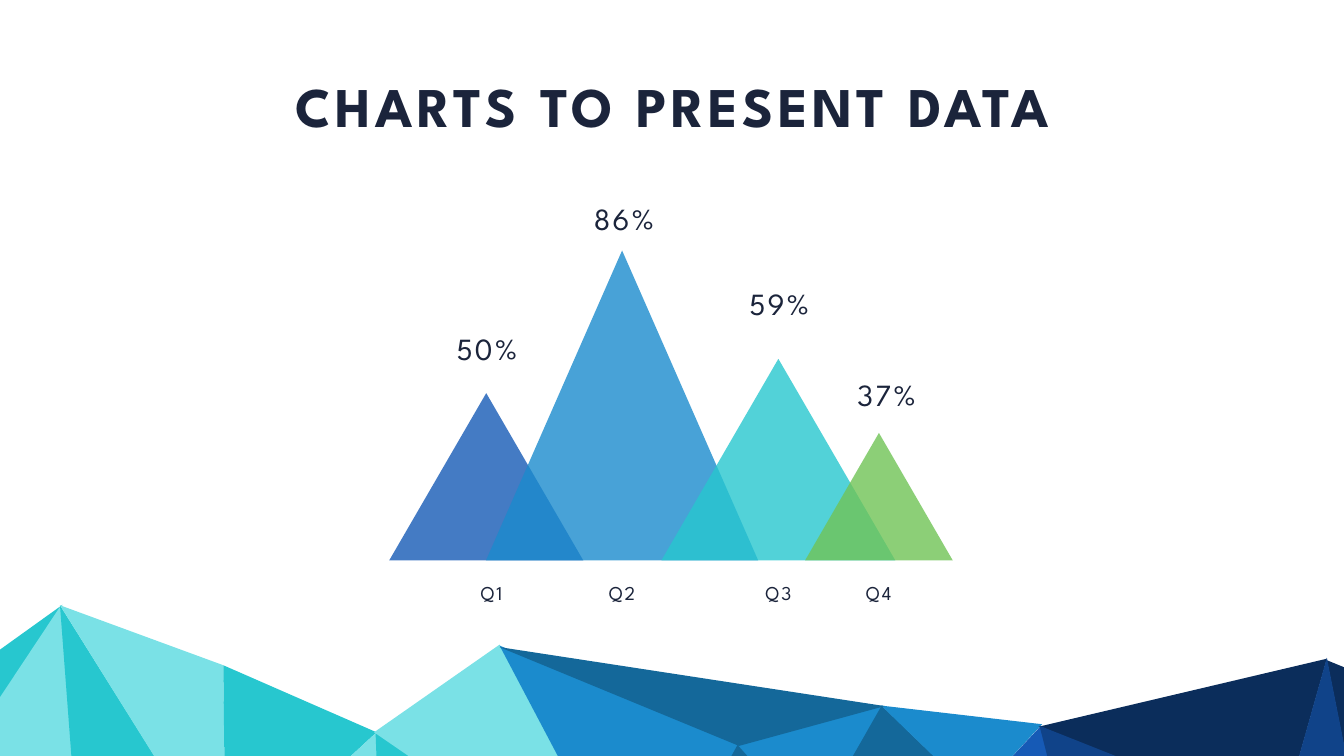
"""Build a slide showing four quarterly peaks above a faceted mountain range."""
from lxml.etree import SubElement
from pptx import Presentation
from pptx.dml.color import RGBColor
from pptx.enum.shapes import MSO_SHAPE
from pptx.enum.text import MSO_ANCHOR, MSO_AUTO_SIZE, PP_ALIGN
from pptx.oxml.ns import qn
from pptx.util import Inches, Pt

COLORS = {
    "ink": "1B243B", "turquoise": "27C7CF", "aqua": "7AE1E6",
    "blue": "1B8BCD", "steel": "14689A", "royal": "165AB6",
    "navy": "0B2D5B", "cobalt": "104389", "green": "70C456",
}
FONT = "League Spartan"
BASELINE = 11.12

FACETS = [
    ("turquoise", [(1.24, 12), (0, 12.89), (0, 13.88)]),
    ("aqua", [(1.56, 16.64), (1.21, 12.01), (-0.03, 13.88), (-0.03, 16.64)]),
    ("turquoise", [(4.09, 16.64), (1.19, 12.01), (1.54, 16.64)]),
    ("aqua", [(4.47, 16.64), (4.43, 13.2), (1.19, 12.01), (4.08, 16.64)]),
    ("turquoise", [(5.18, 16.64), (7.47, 14.53), (4.43, 13.2), (4.47, 16.64)]),
    ("aqua", [(7.55, 16.64), (7.47, 14.53), (5.18, 16.64)]),
    ("turquoise", [(10.52, 16.64), (7.45, 14.53), (7.53, 16.64)]),
    ("aqua", [(11.94, 16.64), (9.91, 12.79), (7.42, 14.53), (10.49, 16.64)]),
    ("blue", [(13.62, 16.66), (14.66, 14.76), (9.91, 12.81), (11.94, 16.66)]),
    ("blue", [(14.61, 14.79), (16.1, 16.47), (17.51, 14)]),
    ("steel", [(16.08, 16.47), (19.35, 15.8), (17.49, 14)]),
    ("blue", [(17.48, 14), (19.34, 15.8), (20.67, 14.37)]),
    ("royal", [(21.24, 16.71), (20.65, 14.4), (19.32, 15.82), (20.28, 16.71)]),
    ("navy", [(20.6, 14.42), (25.4, 16.33), (26.32, 13.07)]),
    ("cobalt", [(24.42, 16.71), (25.43, 16.31), (20.62, 14.4), (21.21, 16.71)]),
    ("navy", [(26.81, 13.3), (26.32, 13.1), (26.81, 15.57)]),
    ("cobalt", [(26.81, 16.71), (26.81, 15.52), (26.32, 13.05),
                (25.4, 16.31), (26, 16.71)]),
    ("steel", [(9.91, 12.84), (17.55, 14.01), (14.66, 14.8)]),
    ("steel", [(15.71, 16.68), (16.12, 16.46), (14.63, 14.78), (13.59, 16.68)]),
]

QUARTERS = [
    ("Q1", 9.34, "50%", 8.83, 6.5, PP_ALIGN.CENTER, 7.72, 3.85, 3.32, "royal"),
    ("Q2", 11.93, "86%", 11.55, 3.92, PP_ALIGN.CENTER, 9.64, 5.4, 6.15, "blue"),
    ("Q3", 15.03, "59%", 14.63, 5.6, PP_ALIGN.CENTER, 13.12, 4.64, 4, "turquoise"),
    ("Q4", 17.02, "37%", 16.61, 7.41, PP_ALIGN.RIGHT, 15.97, 2.93, 2.53, "green"),
]


class PeakSlide:
    def __init__(self, deck):
        self.slide = deck.slides.add_slide(deck.slide_layouts[5])

    def paint(self, shape, color, opacity=100):
        shape.shadow.inherit = False
        shape.fill.solid()
        shape.fill.fore_color.rgb = RGBColor.from_string(COLORS[color])
        shape.line.fill.background()
        if opacity < 100:
            tint = shape._element.spPr.find(".//" + qn("a:srgbClr"))
            SubElement(tint, qn("a:alpha"), val=str(opacity * 1000))

    def letter(self, box, words, size, spacing, align=PP_ALIGN.CENTER, bold=False):
        frame = box.text_frame
        frame.text = words
        frame.word_wrap = False
        frame.auto_size = MSO_AUTO_SIZE.SHAPE_TO_FIT_TEXT
        frame.vertical_anchor = MSO_ANCHOR.TOP
        paragraph = frame.paragraphs[0]
        paragraph.alignment = align
        font = paragraph.font
        font.name, font.size, font.bold = FONT, Pt(size), bold
        font.color.rgb = RGBColor.from_string(COLORS["ink"])
        font._element.set("spc", str(spacing * 100))

    def title(self, words, left, top, width, height):
        heading = self.slide.shapes.title
        heading.left, heading.top = Inches(left), Inches(top)
        heading.width, heading.height = Inches(width), Inches(height)
        self.letter(heading, words, 80, 6, bold=True)

    def label(self, words, left, top, width, height, size, align=PP_ALIGN.CENTER):
        box = self.slide.shapes.add_textbox(
            Inches(left), Inches(top), Inches(width), Inches(height))
        self.letter(box, words, size, 3, align)

    def peak(self, left, width, height, color):
        triangle = self.slide.shapes.add_shape(
            MSO_SHAPE.ISOSCELES_TRIANGLE, Inches(left), Inches(BASELINE - height),
            Inches(width), Inches(height))
        self.paint(triangle, color, opacity=80)

    def mountains(self, facets):
        mountain_range = self.slide.shapes.add_group_shape()
        for color, corners in facets:
            start, *others = [(Inches(x), Inches(y)) for x, y in corners]
            outline = mountain_range.shapes.build_freeform(*start)
            outline.add_line_segments(others, close=True)
            self.paint(outline.convert_to_shape(), color)


def main():
    deck = Presentation()
    deck.slide_width, deck.slide_height = Inches(26.66), Inches(15)
    page = PeakSlide(deck)
    page.mountains(FACETS)
    for (quarter, quarter_left, share, share_left, share_top, align,
         left, width, height, color) in QUARTERS:
        page.peak(left, width, height, color)
        page.label(quarter, quarter_left, 11.47, 0.82, 0.57, 28)
        page.label(share, share_left, share_top, 1.66, 0.84, 44, align)
    page.title("CHARTS TO PRESENT DATA", 4.69, 1.36, 17.31, 1.45)
    deck.save("out.pptx")


if __name__ == "__main__":
    main()
